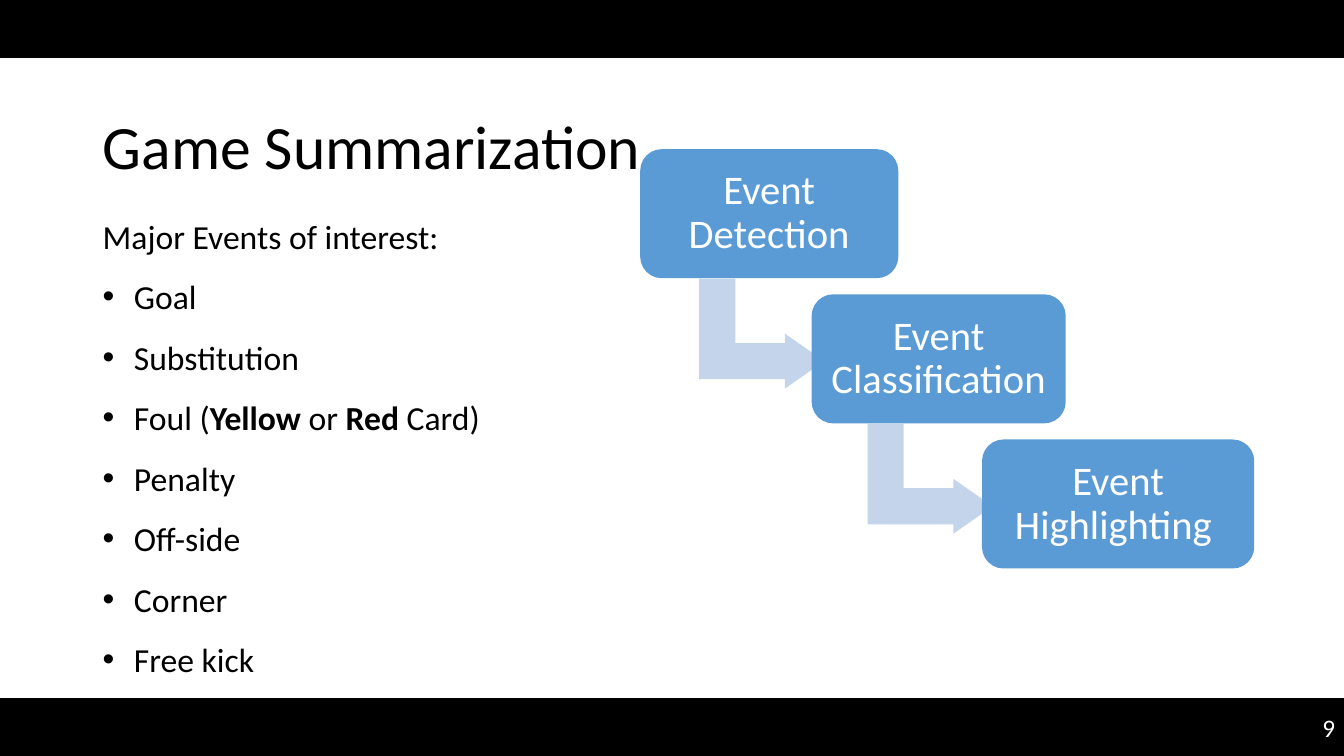
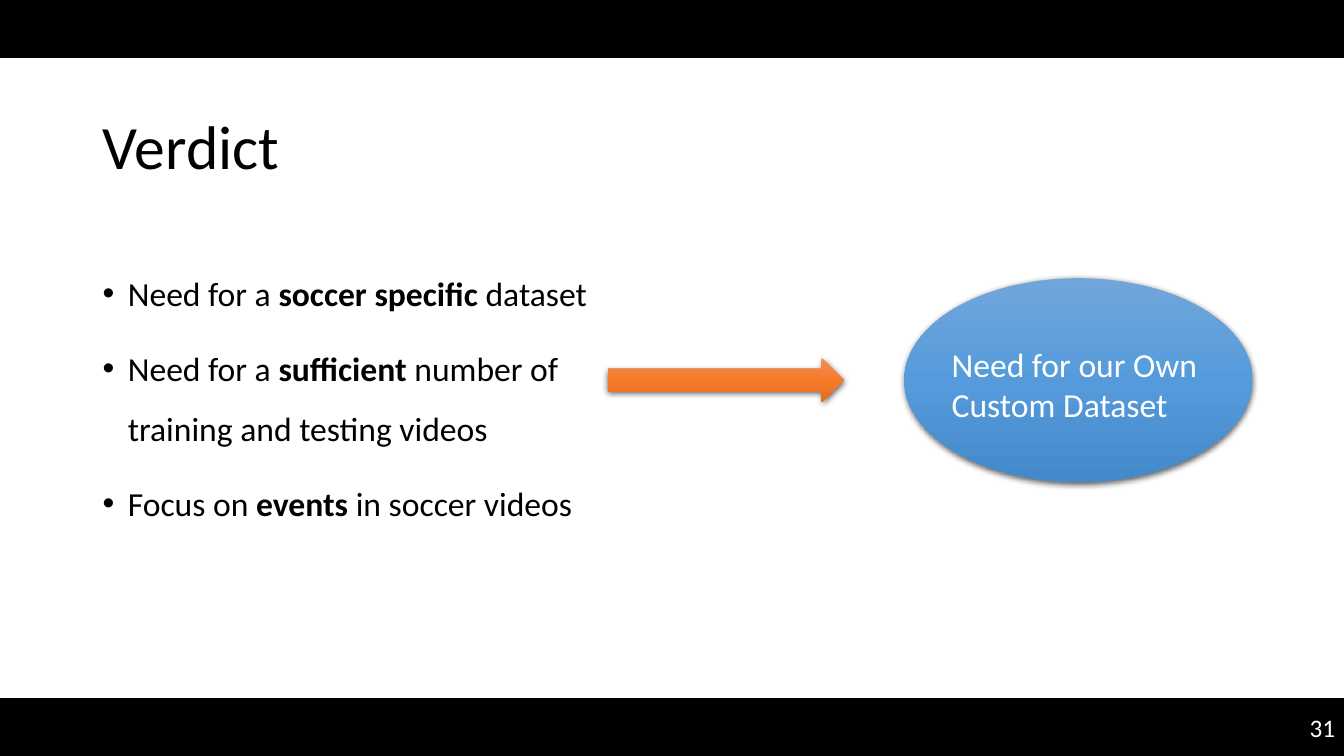
"""Build two slides on soccer game summarization and the dataset verdict."""
import copy

import pptx
import pptx.dml.color
import pptx.enum.shapes
import pptx.enum.text
import pptx.oxml
import pptx.oxml.ns
import pptx.util

Inches = pptx.util.Inches
Pt = pptx.util.Pt
RGB = pptx.dml.color.RGBColor.from_string
SHAPE = pptx.enum.shapes.MSO_SHAPE
ALIGN = pptx.enum.text.PP_ALIGN
ANCHOR = pptx.enum.text.MSO_ANCHOR
qn = pptx.oxml.ns.qn

THEME = {
    "font": "Calibri",
    "ink": RGB("000000"),
    "paper": RGB("FFFFFF"),
    "step": RGB("5B9BD5"),
    "step_arrow": RGB("C4D5EB"),
    "orange_gradient": ("F18C57", "F67B28", "E56C19"),
    "blue_gradient": ("71A6DB", "559BDB", "448ACA"),
    "title_size": Pt(44),
    "step_size": Pt(29),
    "body_size": Pt(24),
    "number_size": Pt(18),
}
TITLE_FRAME = {"word_wrap": True, "vertical_anchor": ANCHOR.TOP,
               "auto_size": pptx.enum.text.MSO_AUTO_SIZE.NONE}
STEP_FRAME = {"word_wrap": True, "vertical_anchor": ANCHOR.MIDDLE,
              **dict.fromkeys(("margin_left", "margin_right", "margin_top", "margin_bottom"),
                              Inches(0.11))}
TITLE_LINES = {"alignment": ALIGN.LEFT, "line_spacing": 0.9}
STEP_LINES = {"alignment": ALIGN.CENTER, "line_spacing": 0.9}
NUMBER_LINES = {"alignment": ALIGN.RIGHT}
BODY_LINES = {"alignment": ALIGN.LEFT, "line_spacing": 1.5}
SHADOW = (
    '<a:outerShdw xmlns:a="http://schemas.openxmlformats.org/drawingml/2006/main" '
    'blurRad="57150" dist="19050" dir="5400000" algn="ctr" rotWithShape="0">'
    '<a:srgbClr val="000000"><a:alpha val="63000"/></a:srgbClr></a:outerShdw>'
)


def apply_format(target, values):
    for attribute, value in values.items():
        setattr(target, attribute, value)


def write_text(frame, lines, size, color, line_format, bullet_indent=0, plain_lines=0, gap=0):
    frame.word_wrap = True
    for index, line in enumerate(lines):
        paragraph = frame.paragraphs[0] if index == 0 else frame.add_paragraph()
        if bullet_indent and index >= plain_lines:
            properties = paragraph._p.get_or_add_pPr()
            properties.set("marL", str(Inches(bullet_indent)))
            properties.set("indent", str(-Inches(bullet_indent)))
            bullet_font = properties.makeelement(qn("a:buFont"), {"typeface": "Arial"})
            bullet = properties.makeelement(qn("a:buChar"), {"char": "•"})
            properties.extend([bullet_font, bullet])
        apply_format(paragraph, line_format)
        if gap and index:
            paragraph.space_before = Pt(gap)
        for part, words in enumerate(line.split("*")):
            run = paragraph.add_run()
            run.text = words
            apply_format(run.font, {"name": THEME["font"], "size": size, "bold": part % 2 == 1})
            run.font.color.rgb = color


deck = pptx.Presentation()
apply_format(deck, {"slide_width": Inches(13.33), "slide_height": Inches(7.5)})
title_only = deck.slide_layouts[5]

pages = []
for heading, title_height, number in (("Game Summarization", 1.26, "9"), ("Verdict", 0.74, "31")):
    page = deck.slides.add_slide(title_only)
    title = page.shapes.title
    apply_format(title, {"left": Inches(0.92), "top": Inches(1.1),
                         "width": Inches(11.5), "height": Inches(title_height)})
    apply_format(title.text_frame, TITLE_FRAME)
    write_text(title.text_frame, [heading], THEME["title_size"], THEME["ink"], TITLE_LINES)
    page_number = page.shapes.add_textbox(Inches(10.34), Inches(7.02), Inches(3), Inches(0.4))
    write_text(page_number.text_frame, [number], THEME["number_size"], THEME["paper"], NUMBER_LINES)
    pages.append(page)
summary, verdict = pages

for band_top in (0, 6.93):
    band = summary.shapes.add_shape(SHAPE.RECTANGLE, 0, Inches(band_top),
                                    deck.slide_width, Inches(0.57))
    band.shadow.inherit = False
    band.fill.solid()
    band.fill.fore_color.rgb = THEME["ink"]
    band.line.color.rgb = THEME["ink"]
    band.line.width = Pt(1)
    title_only.shapes._spTree.insert(2, band._element)

steps = (("Event Detection", 6.35, 2.56), ("Event Classification", 8.05, 2.52),
         ("Event Highlighting ", 9.74, 2.7))
for index, (label, left, width) in enumerate(steps):
    parts = []
    if index < len(steps) - 1:
        turn = summary.shapes.add_shape(SHAPE.BENT_UP_ARROW, Inches(7.01 + 1.67 * index),
                                        Inches(2.69 + 1.44 * index), Inches(1.09), Inches(1.24))
        turn.rotation = 90
        for position, adjustment in enumerate((0.328, 0.25, 0.358)):
            turn.adjustments[position] = adjustment
        parts.append((turn, THEME["step_arrow"]))
    step = summary.shapes.add_shape(SHAPE.ROUNDED_RECTANGLE, Inches(left),
                                    Inches(1.48 + 1.44 * index), Inches(width), Inches(1.28))
    parts.append((step, THEME["step"]))
    for part, color in parts:
        part.shadow.inherit = False
        part.fill.solid()
        part.fill.fore_color.rgb = color
        part.line.fill.background()
    apply_format(step.text_frame, STEP_FRAME)
    write_text(step.text_frame, [label], THEME["step_size"], THEME["paper"], STEP_LINES)

events = summary.shapes.add_textbox(Inches(0.92), Inches(1.89), Inches(5.12), Inches(4.95))
write_text(
    events.text_frame,
    ["Major Events of interest:", "Goal", "Substitution", "Foul (*Yellow* or *Red* Card)",
     "Penalty", "Off-side", "Corner", "Free kick"],
    THEME["body_size"], THEME["ink"], BODY_LINES, bullet_indent=0.31, plain_lines=1,
)

needs = verdict.shapes.add_textbox(Inches(0.92), Inches(2.46), Inches(5.1), Inches(3.93))
write_text(
    needs.text_frame,
    ["Need for a *soccer specific *dataset",
     "Need for a *sufficient* number of training and testing videos",
     "Focus on *events *in soccer videos"],
    THEME["body_size"], THEME["ink"], BODY_LINES, bullet_indent=0.25, gap=10,
)

for outline, box, gradient in (
    (SHAPE.RIGHT_ARROW, (6.03, 3.55, 2.34, 0.44), THEME["orange_gradient"]),
    (SHAPE.OVAL, (8.97, 2.76, 3.45, 2.02), THEME["blue_gradient"]),
):
    conclusion = verdict.shapes.add_shape(outline, *map(Inches, box))
    conclusion.line.fill.background()
    conclusion.fill.gradient()
    conclusion.fill.gradient_angle = 270
    stop_list = conclusion._element.spPr.find(".//" + qn("a:gsLst"))
    stop_list.append(copy.deepcopy(stop_list[0]))
    for index, (stop, color) in enumerate(zip(conclusion.fill.gradient_stops, gradient)):
        stop.position = index / 2
        stop.color.rgb = RGB(color)
    conclusion.shadow.inherit = False
    effects = conclusion._element.spPr.find(qn("a:effectLst"))
    effects.append(pptx.oxml.parse_xml(SHADOW))

dataset = verdict.shapes.add_textbox(Inches(9.34), Inches(3.36), Inches(3.45), Inches(0.91))
write_text(dataset.text_frame, ["Need for our Own Custom Dataset"],
           THEME["body_size"], THEME["paper"], {"alignment": ALIGN.LEFT})

deck.save("out.pptx")
